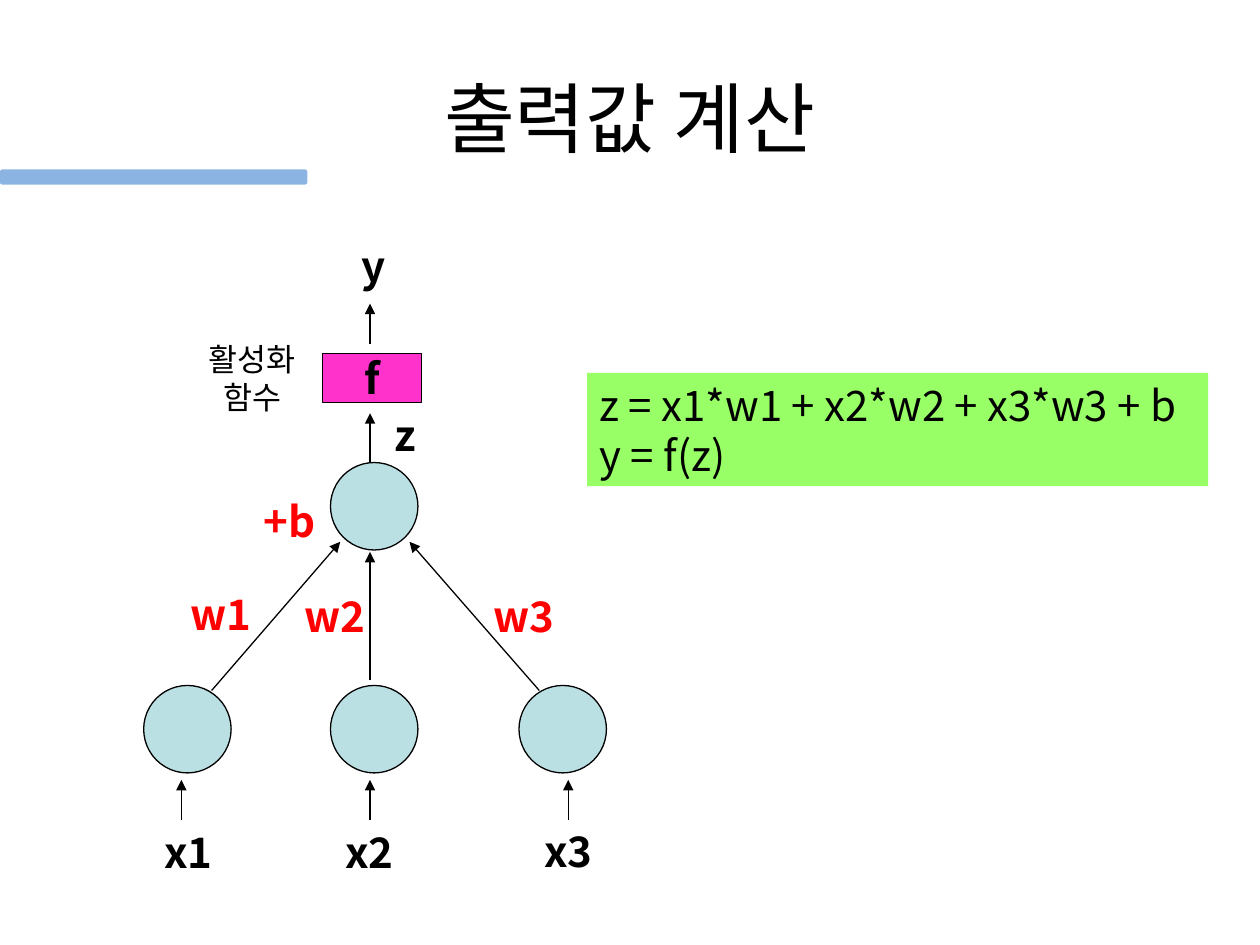
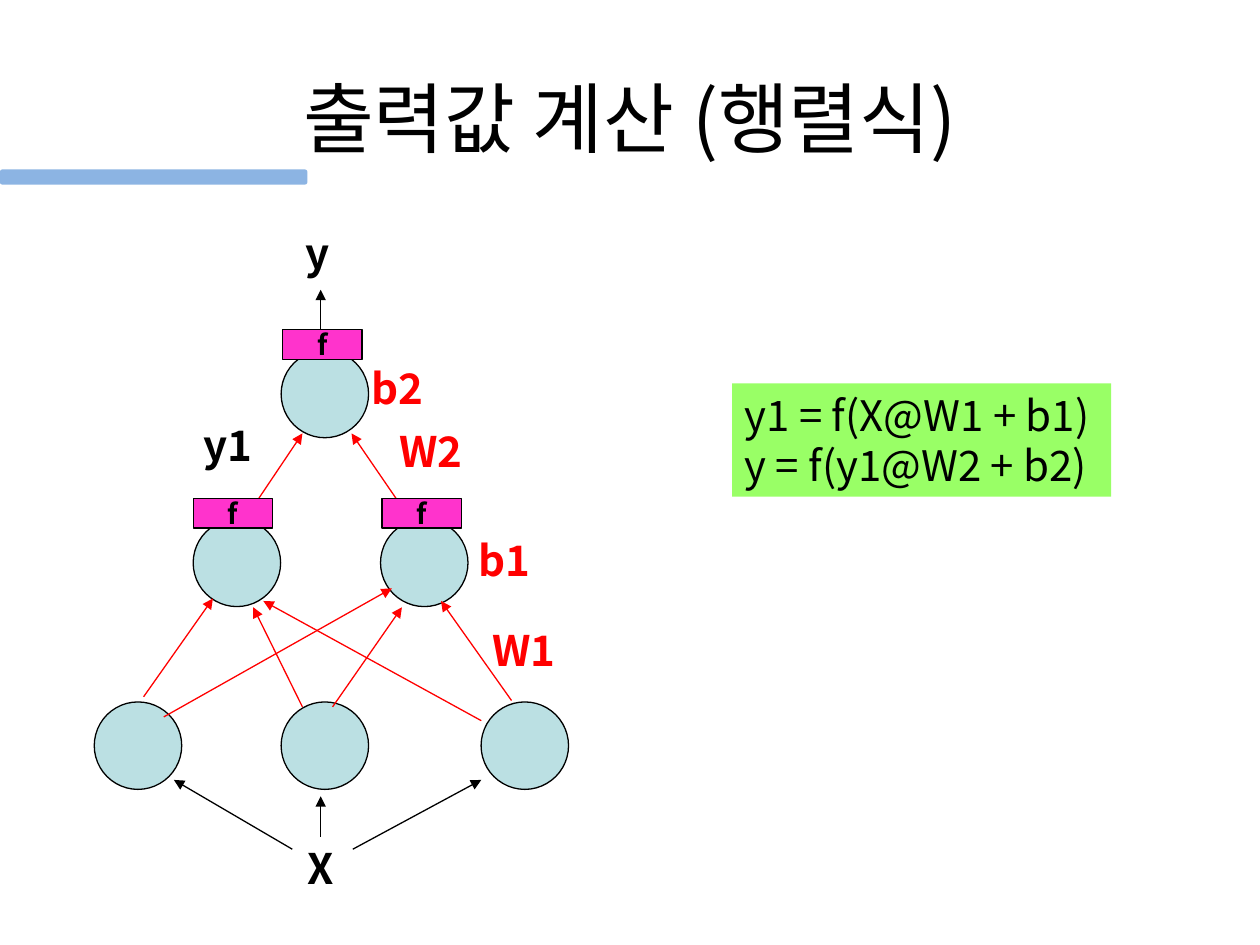
from lxml import etree
from pptx import Presentation
from pptx.dml.color import RGBColor
from pptx.enum.shapes import MSO_CONNECTOR as CONNECTOR, MSO_SHAPE as SHAPE
from pptx.enum.text import MSO_ANCHOR as ANCHOR, MSO_AUTO_SIZE as AUTO_SIZE, PP_ALIGN as ALIGN
from pptx.oxml.ns import qn
from pptx.util import Inches, Pt

# The slide is a grid of 100 columns and 75 rows; all lengths below are in cells.
WIDTH, HEIGHT = Inches(10), Inches(7.5)
COLUMNS, ROWS = 100, 75
FONT = "Noto Sans CJK KR"
BLACK, RED = "000000", "FF0000"
BAND, NODE, ACTIVATION, FORMULA = "8CB4E3", "BBE0E3", "FF33CC", "99FF66"
NODE_SIZE = 6.94
LABEL_HEIGHT = 5


def color(hex_string):
    return RGBColor.from_string(hex_string)


def across(columns):
    return round(WIDTH * columns / COLUMNS)


def down(rows):
    return round(HEIGHT * rows / ROWS)


def cells(left, top, width, height):
    return across(left), down(top), across(width), down(height)


def write(shape, lines, size, ink=BLACK, bold=False, align=ALIGN.CENTER, **frame_format):
    frame = shape.text_frame
    frame.text = "\n".join(lines)
    for name, value in {"word_wrap": False, **frame_format}.items():
        setattr(frame, name, value)
    for paragraph in frame.paragraphs:
        paragraph.alignment = align
        for run in paragraph.runs:
            for name, value in {"name": FONT, "size": Pt(size), "bold": bold}.items():
                setattr(run.font, name, value)
            run.font.color.rgb = color(ink)
            properties = run.font._element
            properties.set("kern", "0")
            east_asian = etree.Element(qn("a:ea"), typeface=FONT)
            properties.find(qn("a:latin")).addnext(east_asian)


def add_block(slide, kind, place, fill, outlined=False):
    shape = slide.shapes.add_shape(kind, *cells(*place))
    shape.shadow.inherit = False
    shape.fill.solid()
    shape.fill.fore_color.rgb = color(fill)
    if outlined:
        shape.line.color.rgb = color(BLACK)
        shape.line.width = Pt(0.75)
    else:
        shape.line.fill.background()
    return shape


def add_titled_slide(presentation, title):
    slide = presentation.slides.add_slide(presentation.slide_layouts[5])
    place = dict(zip(("left", "top", "width", "height"), cells(5, 3, 90, 12.5)))
    for name, value in place.items():
        setattr(slide.shapes.title, name, value)
    write(slide.shapes.title, [title], 44, word_wrap=True,
          auto_size=AUTO_SIZE.NONE, vertical_anchor=ANCHOR.MIDDLE)
    add_block(slide, SHAPE.ROUNDED_RECTANGLE, (0, 13.45, 24.4, 1.2), BAND)
    return slide


def add_nodes(slide, centers, middle):
    """Draw one layer of neurons in a row."""
    for center in centers:
        place = (center - NODE_SIZE / 2, middle - NODE_SIZE / 2, NODE_SIZE, NODE_SIZE)
        add_block(slide, SHAPE.OVAL, place, NODE, outlined=True)


def add_activation(slide, center, top, width, height, size):
    place = (center - width / 2, top, width, height)
    shape = add_block(slide, SHAPE.RECTANGLE, place, ACTIVATION, outlined=True)
    write(shape, ["f"], size, bold=True, vertical_anchor=ANCHOR.MIDDLE)


def add_arrows(slide, routes, ink=BLACK):
    """Draw an arrow for each (start column, start row, end column, end row)."""
    for start_x, start_y, end_x, end_y in routes:
        arrow = slide.shapes.add_connector(
            CONNECTOR.STRAIGHT, across(start_x), down(start_y), across(end_x), down(end_y))
        arrow.line.color.rgb = color(ink)
        arrow.line.width = Pt(0.75)
        etree.SubElement(arrow.line._get_or_add_ln(), qn("a:tailEnd"), type="triangle")
        etree.SubElement(arrow._element.spPr, qn("a:effectLst"))


def add_label(slide, lines, center, top, width, height=LABEL_HEIGHT, **text_format):
    box = slide.shapes.add_textbox(*cells(center - width / 2, top, width, height))
    write(box, lines, auto_size=AUTO_SIZE.SHAPE_TO_FIT_TEXT, **text_format)


def add_symbols(slide, symbols, ink=BLACK):
    """Place bold symbols, each given as (text, center, top, width)."""
    for text, center, top, width in symbols:
        add_label(slide, [text], center, top, width, size=24, ink=ink, bold=True)


def add_formulas(slide, lines, left, top, width):
    shape = add_block(slide, SHAPE.RECTANGLE, (left, top, width, 9), FORMULA)
    write(shape, lines, 24, align=ALIGN.LEFT, vertical_anchor=ANCHOR.TOP,
          auto_size=AUTO_SIZE.SHAPE_TO_FIT_TEXT)


def build_single_neuron(presentation):
    slide = add_titled_slide(presentation, "출력값 계산")
    axis = 29.37
    add_nodes(slide, (14.87, 29.7, 44.66), 57.87)
    add_nodes(slide, [29.7], 40.18)
    add_activation(slide, 29.53, 28.05, 7.9, 3.9, 24)
    add_arrows(slide, [(16.8, 54.8, 27, 43), (42.8, 54.8, 32.5, 43), (axis, 54, axis, 43.8)])
    add_arrows(slide, [(x, 65.1, x, 61.9) for x in (14.4, axis, 45.1)])
    add_arrows(slide, [(axis, 36.7, axis, 32.8), (axis, 27.3, axis, 24.1)])
    add_symbols(slide, [("x1", 14.95, 65.1, 6.2), ("x2", 29.3, 65.1, 6.2),
                        ("x3", 45.1, 65, 6.2), ("z", 32.15, 32, 3.7), ("y", 29.65, 18.6, 3.9)])
    add_symbols(slide, [("w1", 17.55, 46.2, 7.2), ("w2", 26.6, 46.4, 7.2),
                        ("w3", 41.55, 46.4, 7.2), ("+b", 22.95, 38.8, 6.1)], RED)
    add_label(slide, ["활성화", "함수"], 20, 26.5, 8.9, 7, size=18)
    add_formulas(slide, ["z = x1*w1 + x2*w2 + x3*w3 + b", "y = f(z)"], 46.6, 29.6, 49.3)


def build_matrix_network(presentation):
    slide = add_titled_slide(presentation, "출력값 계산 (행렬식)")
    axis = 25.45
    add_nodes(slide, (10.95, 25.78, 41.65), 59.18)
    add_nodes(slide, (18.8, 33.67), 44.67)
    add_nodes(slide, [25.78], 31.27)
    add_arrows(slide, [(23.2, 67.4, 13.8, 61.9), (axis, 66.4, axis, 63.2),
                       (28, 67.4, 38.2, 61.9), (axis, 26.2, axis, 23)])
    input_to_hidden = [(11.4, 55.3, 16.9, 47.5), (13, 56.9, 31.1, 46.7),
                       (24, 56.1, 20.1, 48.2), (26.4, 56.1, 31.9, 48.2),
                       (38.2, 57.2, 20.9, 47.7), (40.6, 55.6, 35, 47.7)]
    hidden_to_output = [(19.3, 41.4, 24, 34.4), (32.7, 41.4, 27.9, 34.4)]
    add_arrows(slide, input_to_hidden + hidden_to_output, RED)
    for center, top in ((18.5, 39.55), (33.47, 39.55), (25.6, 26.17)):
        add_activation(slide, center, top, 6.3, 2.37, 16)
    add_symbols(slide, [("y", 25.2, 17.55, 3.9), ("X", 25.45, 66.4, 4.1),
                        ("y1", 18.1, 32.8, 6.2)])
    add_symbols(slide, [("W1", 41.6, 49.05, 7.2), ("b1", 40.05, 41.9, 6.3),
                        ("W2", 34.2, 33.3, 7.2), ("b2", 31.55, 28.3, 6.3)], RED)
    add_formulas(slide, ["y1 = f(X@W1 + b1)", "y = f(y1@W2 + b2)"], 58.1, 30.43, 30.1)


def main():
    presentation = Presentation()
    presentation.slide_width, presentation.slide_height = WIDTH, HEIGHT
    build_single_neuron(presentation)
    build_matrix_network(presentation)
    presentation.save("out.pptx")


if __name__ == "__main__":
    main()
